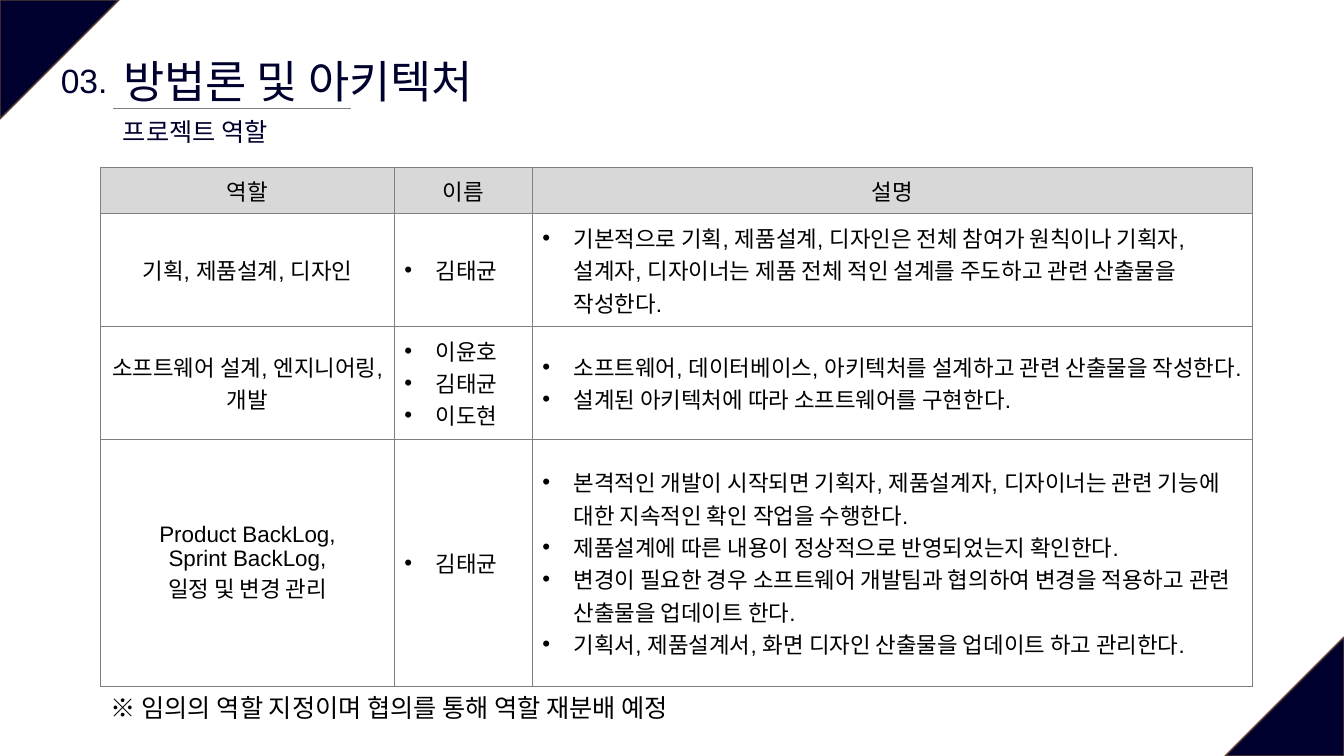
from dataclasses import dataclass

from lxml.etree import SubElement
from pptx import Presentation
from pptx.dml.color import RGBColor
from pptx.enum.shapes import MSO_CONNECTOR, MSO_SHAPE
from pptx.enum.text import MSO_ANCHOR, MSO_AUTO_SIZE, PP_ALIGN
from pptx.oxml.ns import qn
from pptx.util import Inches, Pt


@dataclass(frozen=True)
class Theme:
    navy: RGBColor = RGBColor.from_string("00002F")
    brown: RGBColor = RGBColor.from_string("5B3F33")
    gray: RGBColor = RGBColor.from_string("7F7F7F")
    header: RGBColor = RGBColor.from_string("D8D8D8")
    black: RGBColor = RGBColor.from_string("000000")
    white: RGBColor = RGBColor.from_string("FFFFFF")
    latin: str = "Arial"
    korean: str = "Noto Sans CJK KR"
    title: int = 32
    number: int = 24
    subtitle: int = 18
    table: int = 16


theme = Theme()


def write(paragraph, text, size, color, align=PP_ALIGN.LEFT, font=theme.latin):
    paragraph.alignment = align
    run = paragraph.add_run()
    run.text = text
    for name, value in {"size": Pt(size), "name": font, "bold": False}.items():
        setattr(run.font, name, value)
    run.font.color.rgb = color
    SubElement(run._r.get_or_add_rPr(), qn("a:ea"), typeface=theme.korean)


prs = Presentation()
prs.slide_width, prs.slide_height = Inches(13.33), Inches(7.5)
slide = prs.slides.add_slide(prs.slide_layouts[5])
shapes = slide.shapes

# Corner triangles
CORNER = 1.18
for left, top, rotation in [(0, 0, 90), (13.33 - CORNER, 7.5 - CORNER, 270)]:
    corner = shapes.add_shape(MSO_SHAPE.ISOSCELES_TRIANGLE, Inches(left), Inches(top),
                              Inches(CORNER), Inches(CORNER))
    corner.adjustments[0] = 0
    corner.rotation = rotation
    corner.shadow.inherit = False
    corner.fill.solid()
    corner.fill.fore_color.rgb = theme.navy
    corner.line.color.rgb = theme.brown
    corner.line.width = Pt(1)

# Line under the title
underline = shapes.add_connector(MSO_CONNECTOR.STRAIGHT, Inches(1.12), Inches(1.08),
                                 Inches(3.48), Inches(1.08))
underline.line.color.rgb = theme.gray
underline.line.width = Pt(0.75)
SubElement(underline._element.spPr, qn("a:effectLst"))

# Title, section number, subtitle and footnote
heading = shapes.title
number, subtitle, footnote = (shapes.add_textbox(0, 0, 0, 0) for _ in range(3))
left, center = PP_ALIGN.LEFT, PP_ALIGN.CENTER
for box, bounds, text, size, color, align, font in [
    (heading, (1.12, 0.48, 5.54, 0.64), "방법론 및 아키텍처",
     theme.title, theme.navy, left, theme.latin),
    (number, (0.5, 0.55, 0.67, 0.5), "03.",
     theme.number, theme.navy, center, theme.latin),
    (subtitle, (1.12, 1.1, 5.54, 0.42), "프로젝트 역할",
     theme.subtitle, theme.navy, left, theme.latin),
    (footnote, (1, 6.82, 11.42, 0.4), "※ 임의의 역할 지정이며 협의를 통해 역할 재분배 예정",
     theme.subtitle, theme.black, left, theme.korean),
]:
    box.left, box.top, box.width, box.height = map(Inches, bounds)
    frame_format = {"word_wrap": True, "vertical_anchor": MSO_ANCHOR.TOP,
                    "auto_size": MSO_AUTO_SIZE.SHAPE_TO_FIT_TEXT}
    for name, value in frame_format.items():
        setattr(box.text_frame, name, value)
    write(box.text_frame.paragraphs[0], text, size, color, align, font)

# Role table: each cell is a list of paragraphs
roles = [
    [["역할"], ["이름"], ["설명"]],
    [["기획, 제품설계, 디자인"],
     ["김태균"],
     ["기본적으로 기획, 제품설계, 디자인은 전체 참여가 원칙이나 기획자, 설계자, "
      "디자이너는 제품 전체 적인 설계를 주도하고 관련 산출물을 작성한다."]],
    [["소프트웨어 설계, 엔지니어링, 개발"],
     ["이윤호", "김태균", "이도현"],
     ["소프트웨어, 데이터베이스, 아키텍처를 설계하고 관련 산출물을 작성한다.",
      "설계된 아키텍처에 따라 소프트웨어를 구현한다."]],
    [["Product BackLog,", "Sprint BackLog,", "일정 및 변경 관리"],
     ["김태균"],
     ["본격적인 개발이 시작되면 기획자, 제품설계자, 디자이너는 관련 기능에 대한 "
      "지속적인 확인 작업을 수행한다.",
      "제품설계에 따른 내용이 정상적으로 반영되었는지 확인한다.",
      "변경이 필요한 경우 소프트웨어 개발팀과 협의하여 변경을 적용하고 관련 "
      "산출물을 업데이트 한다.",
      "기획서, 제품설계서, 화면 디자인 산출물을 업데이트 하고 관리한다."]],
]
widths = [2.91, 1.37, 7.14]
heights = [0.46, 1.12, 1.12, 2.45]
role_table = shapes.add_table(len(heights), len(widths), Inches(1), Inches(1.66),
                              Inches(sum(widths)), Inches(sum(heights))).table
role_table.first_row = role_table.horz_banding = False
for column, width in zip(role_table.columns, widths):
    column.width = Inches(width)

for r, (height, row) in enumerate(zip(heights, roles)):
    role_table.rows[r].height = Inches(height)
    for c, lines in enumerate(row):
        cell = role_table.cell(r, c)
        cell.vertical_anchor = MSO_ANCHOR.MIDDLE

        # Borders, then fill
        for side in ("a:lnL", "a:lnR", "a:lnT", "a:lnB"):
            border = SubElement(cell._tc.get_or_add_tcPr(), qn(side), w=str(Pt(0.75)))
            border_fill = SubElement(border, qn("a:solidFill"))
            SubElement(border_fill, qn("a:srgbClr"), val=str(theme.gray))
        cell.fill.solid()
        cell.fill.fore_color.rgb = theme.header if r == 0 else theme.white

        # Names and descriptions are bulleted
        bulleted = r > 0 and c > 0
        for i, line in enumerate(lines):
            frame = cell.text_frame
            paragraph = frame.add_paragraph() if i else frame.paragraphs[0]
            if bulleted:
                props = paragraph._p.get_or_add_pPr()
                props.set("marL", str(Inches(0.31)))
                props.set("indent", str(Inches(-0.31)))
                bullet_color = SubElement(props, qn("a:buClr"))
                SubElement(bullet_color, qn("a:srgbClr"), val=str(theme.black))
                SubElement(props, qn("a:buFont"), typeface=theme.latin)
                SubElement(props, qn("a:buChar"), char="•")
            write(paragraph, line, theme.table, theme.black, left if bulleted else center)

prs.save("out.pptx")
